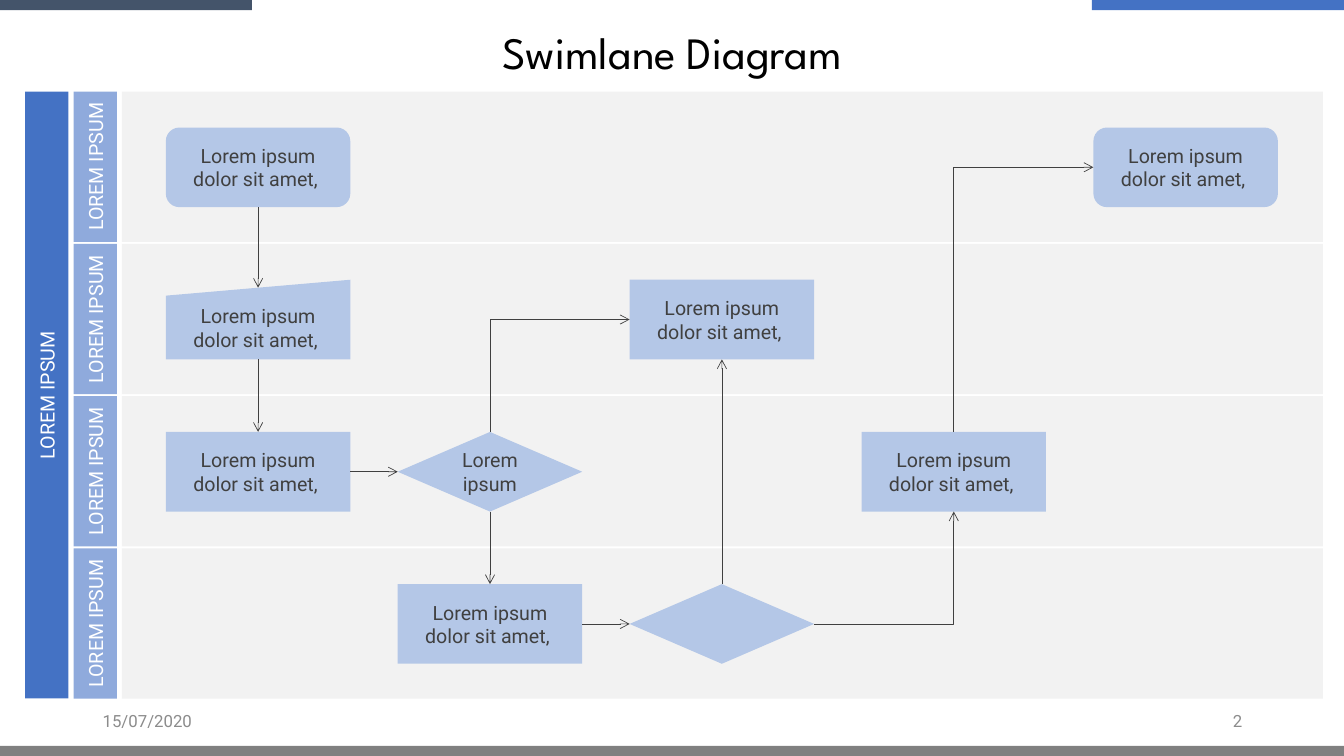
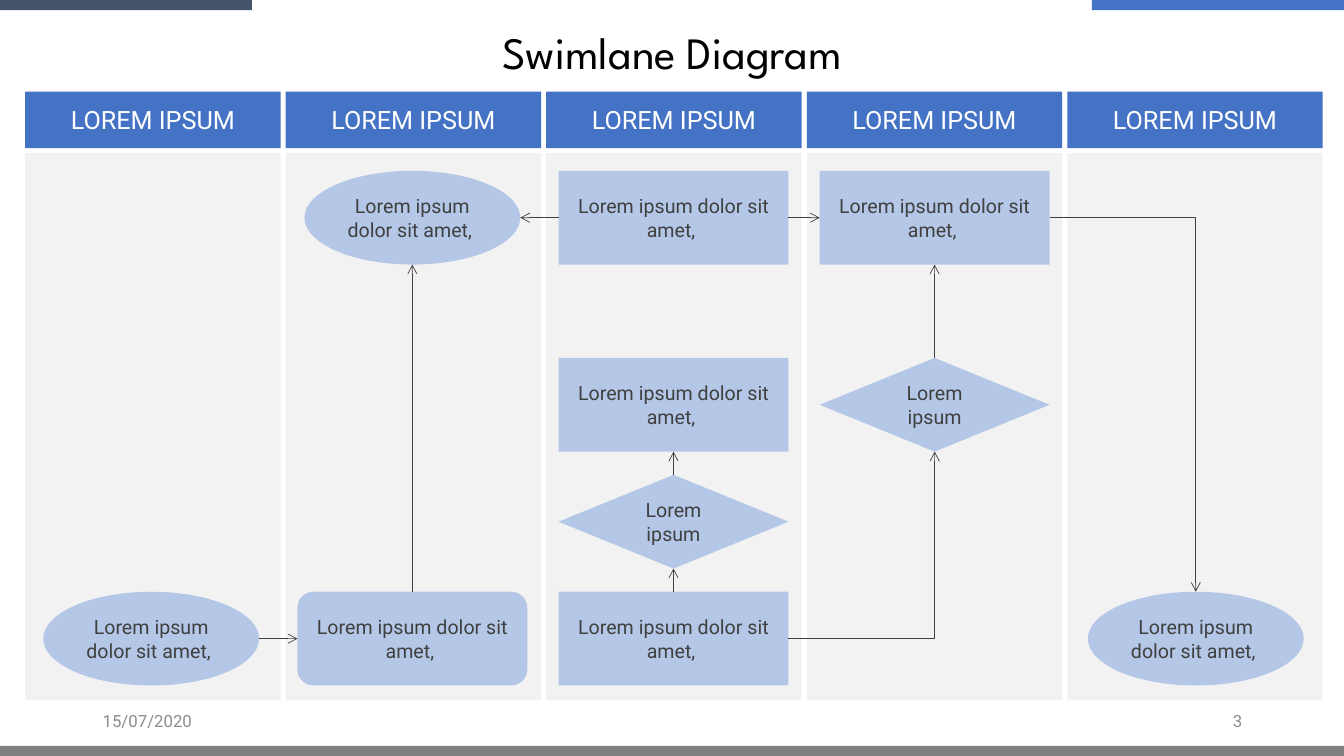
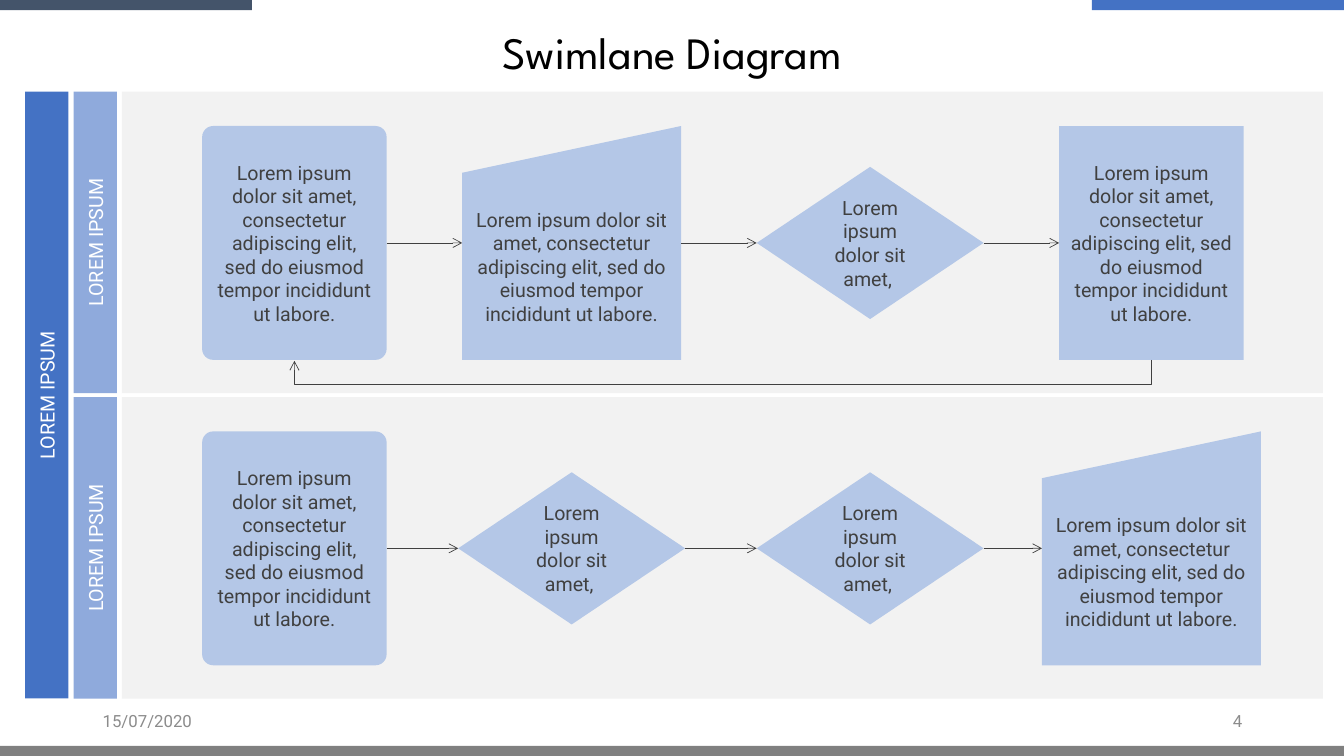
"""Build three swimlane diagram slides."""
from dataclasses import dataclass
from itertools import accumulate

from lxml.etree import SubElement as Sub
from pptx import Presentation
from pptx.dml.color import RGBColor
from pptx.enum.shapes import MSO_CONNECTOR as Con, MSO_SHAPE as Kind
from pptx.enum.text import MSO_ANCHOR as Anchor, MSO_AUTO_SIZE as Auto, PP_ALIGN as Align
from pptx.oxml.ns import qn
from pptx.util import Inches, Pt

W, H = 13.33, 7.5
BLUE, SOFT, PALE = "4472C4", "8FAADC", "B4C7E7"
NAVY, GREY, LANE = "44546A", "808080", "F2F2F2"
WHITE, INK, MUTE, BLACK = "FFFFFF", "404040", "8C8C8C", "000000"
BODY, HEAD = "Roboto", "League Spartan"

LEFT, TOP, RIGHT = 0.25, 0.91, 13.12
TALL, GAP, TAB = 6.02, 0.05, 0.43
NORTH, WEST, SOUTH, EAST = range(4)

BOX, ROUND, OVAL = Kind.RECTANGLE, Kind.ROUNDED_RECTANGLE, Kind.OVAL
INPUT, CHECK = Kind.FLOWCHART_MANUAL_INPUT, Kind.FLOWCHART_DECISION

LABEL = "LOREM IPSUM"
TWO = "Lorem ipsum"
FIVE = "Lorem ipsum dolor sit amet, "
LONG = FIVE + "consectetur adipiscing elit, sed do eiusmod tempor incididunt ut labore."


@dataclass
class Grid:
    """Centres of columns and rows, and node sizes by kind."""
    cols: list[float]
    rows: list[float]
    sizes: dict
    curve: float = 0.17


@dataclass
class Node:
    """One step of the flow, placed by column and row."""
    kind: Kind
    col: int
    row: int
    text: str = FIVE


@dataclass
class Link:
    """An arrow from a side of one node to a side of another."""
    start: int
    out: int
    end: int
    into: int


def tint(code: str) -> RGBColor:
    """Turn a hex string into a colour."""
    return RGBColor.from_string(code)


def write(frame, text: str, size: float, code: str, align=Align.CENTER, font: str = BODY) -> None:
    """Set and format the text of a frame."""
    frame.text = text
    frame.word_wrap = True
    frame.vertical_anchor = Anchor.MIDDLE
    para = frame.paragraphs[0]
    para.alignment = align
    for run in para.runs:
        run.font.size = Pt(size)
        run.font.name = font
        run.font.color.rgb = tint(code)


def block(slide, kind, x: float, y: float, w: float, h: float, code: str):
    """Add a flat shape without an outline."""
    shape = slide.shapes.add_shape(kind, Inches(x), Inches(y), Inches(w), Inches(h))
    shape.shadow.inherit = False
    shape.fill.solid()
    shape.fill.fore_color.rgb = tint(code)
    shape.line.fill.background()
    return shape


def note(slide, x: float, text: str, align) -> None:
    """Add a footer text."""
    box = slide.shapes.add_textbox(Inches(x), Inches(6.95), Inches(3), Inches(0.4))
    write(box.text_frame, text, 12, MUTE, align)


def start(deck, page: int):
    """Add a slide with its title, bands and footer."""
    slide = deck.slides.add_slide(deck.slide_layouts[5])
    title = slide.shapes.title
    title.left, title.top = Inches(0.92), Inches(0.27)
    title.width, title.height = Inches(11.5), Inches(0.56)
    frame = title.text_frame
    write(frame, "Swimlane Diagram", 32, BLACK, font=HEAD)
    frame.paragraphs[0].line_spacing = 0.9
    frame.margin_left = frame.margin_right = Inches(0.04)
    frame.margin_top = frame.margin_bottom = Inches(0.04)
    frame.auto_size = Auto.SHAPE_TO_FIT_TEXT
    wide = W * 3 / 16
    block(slide, BOX, W - wide, 0, wide, 0.1, BLUE)
    block(slide, BOX, 0, 0, wide, 0.1, NAVY)
    block(slide, BOX, 0, H - 0.1, W, 0.1, GREY)
    note(slide, 0.92, "15/07/2020", Align.LEFT)
    note(slide, 9.42, str(page), Align.RIGHT)
    return slide


def tab(slide, x: float, y: float, h: float, code: str) -> None:
    """Add an upright lane label."""
    shape = block(slide, BOX, x, y, TAB, h, code)
    write(shape.text_frame, LABEL, 14, WHITE)
    shape.element.txBody.bodyPr.set("vert", "vert270")


def across(slide, count: int, gap: float) -> None:
    """Draw lanes that run from left to right."""
    tab(slide, LEFT, TOP, TALL, BLUE)
    high = (TALL - gap * (count - 1)) / count
    side = LEFT + TAB + GAP
    lane = side + TAB + GAP
    for row in range(count):
        y = TOP + row * (high + gap)
        tab(slide, side, y, high, SOFT)
        block(slide, BOX, lane, y, RIGHT - lane, high, LANE)


def down(slide, count: int) -> None:
    """Draw lanes that run from top to bottom."""
    wide = (RIGHT - LEFT - GAP * (count - 1)) / count
    for col in range(count):
        x = LEFT + col * (wide + GAP)
        cap = block(slide, BOX, x, TOP, wide, 0.56, BLUE)
        write(cap.text_frame, LABEL, 18, WHITE)
        block(slide, BOX, x, 1.52, wide, 5.43, LANE)


def dot(node: Node, grid: Grid, side: int) -> tuple[float, float]:
    """Find the point where an arrow meets a node."""
    w, h = grid.sizes[node.kind]
    x, y = grid.cols[node.col], grid.rows[node.row]
    rise = 0.4 if node.kind == INPUT else 0.5
    return {NORTH: (x, y - h * rise), WEST: (x - w / 2, y),
            SOUTH: (x, y + h / 2), EAST: (x + w / 2, y)}[side]


def joins(node: Node, side: int) -> bool:
    """Tell whether a side's middle is a matching joint."""
    if node.kind == OVAL:
        return side == NORTH
    return node.kind != INPUT or side != NORTH


def arrow(slide, grid: Grid, nodes: list[Node], shapes: list, link: Link) -> None:
    """Draw a straight, bent or looped arrow."""
    ends = [(link.start, link.out), (link.end, link.into)]
    loop = link.out == link.into
    bent = link.out % 2 != link.into % 2
    back = bent and link.out in (NORTH, SOUTH)
    if back:
        ends.reverse()
    (one, out), (two, into) = ends
    a, b = dot(nodes[one], grid, out), dot(nodes[two], grid, into)
    kind = Con.ELBOW if bent or loop else Con.STRAIGHT
    line = slide.shapes.add_connector(kind, *(Inches(v) for v in a + b))
    if joins(nodes[one], out):
        line.begin_connect(shapes[one], out)
    if joins(nodes[two], into):
        line.end_connect(shapes[two], into)
    props = line.element.spPr
    geom = props.find(qn("a:prstGeom"))
    if bent:
        geom.set("prst", "bentConnector2")
    if loop:
        thin, span = 0.01, a[0] - b[0]
        line.left = Inches((a[0] + b[0] - thin) / 2)
        line.top = Inches(a[1] + (thin - span) / 2)
        line.width, line.height = Inches(thin), Inches(span)
        form = props.find(qn("a:xfrm"))
        for flip in ("flipH", "flipV"):
            form.attrib.pop(flip, None)
        form.set("rot", "5400000")
        Sub(geom.find(qn("a:avLst")), qn("a:gd"), name="adj1", fmla="val 2450000")
    line.line.color.rgb = tint(INK)
    line.line.width = Pt(0.5)
    Sub(props.find(qn("a:ln")), qn("a:headEnd" if back else "a:tailEnd"), type="arrow")
    Sub(props, qn("a:effectLst"))


def flow(slide, grid: Grid, nodes: list[Node], links: list[Link]) -> None:
    """Draw the nodes and then the arrows between them."""
    shapes = []
    for node in nodes:
        w, h = grid.sizes[node.kind]
        x, y = grid.cols[node.col] - w / 2, grid.rows[node.row] - h / 2
        shape = block(slide, node.kind, x, y, w, h, PALE)
        if node.kind == ROUND:
            shape.adjustments[0] = grid.curve
        if node.text:
            write(shape.text_frame, node.text, 14, INK)
        shapes.append(shape)
    for link in links:
        arrow(slide, grid, nodes, shapes, link)


def first(deck) -> None:
    """Build the diagram with four rows."""
    slide = start(deck, 2)
    across(slide, 4, 0.02)
    grid = Grid([2.56 + 2.3 * i for i in range(5)], [1.66 + 1.51 * i for i in range(4)],
                dict.fromkeys((BOX, ROUND, INPUT, CHECK), (1.83, 0.79)))
    nodes = [Node(ROUND, 0, 0), Node(INPUT, 0, 1), Node(BOX, 0, 2),
             Node(CHECK, 1, 2, TWO), Node(BOX, 1, 3), Node(BOX, 2, 1),
             Node(CHECK, 2, 3, ""), Node(BOX, 3, 2), Node(ROUND, 4, 0)]
    links = [Link(0, SOUTH, 1, NORTH), Link(1, SOUTH, 2, NORTH), Link(2, EAST, 3, WEST),
             Link(3, SOUTH, 4, NORTH), Link(3, NORTH, 5, WEST), Link(4, EAST, 6, WEST),
             Link(6, EAST, 7, SOUTH), Link(6, NORTH, 5, SOUTH), Link(7, NORTH, 8, WEST)]
    flow(slide, grid, nodes, links)


def second(deck) -> None:
    """Build the diagram with five columns."""
    slide = start(deck, 3)
    down(slide, 5)
    sizes = dict.fromkeys((BOX, ROUND, CHECK), (2.28, 0.93)) | {OVAL: (2.14, 0.93)}
    grid = Grid([6.68 + 2.59 * i for i in range(-2, 3)],
                [2.16 + 1.16 * i for i in (0, 1.6, 2.6, 3.6)], sizes)
    nodes = [Node(OVAL, 0, 3), Node(ROUND, 1, 3), Node(BOX, 2, 3),
             Node(CHECK, 2, 2, TWO), Node(BOX, 2, 1), Node(CHECK, 3, 1, TWO),
             Node(BOX, 2, 0), Node(OVAL, 1, 0), Node(BOX, 3, 0), Node(OVAL, 4, 3)]
    links = [Link(0, EAST, 1, WEST), Link(1, NORTH, 7, SOUTH), Link(6, WEST, 7, EAST),
             Link(6, EAST, 8, WEST), Link(2, NORTH, 3, SOUTH), Link(3, NORTH, 4, SOUTH),
             Link(2, EAST, 5, SOUTH), Link(5, NORTH, 8, SOUTH), Link(8, EAST, 9, NORTH)]
    flow(slide, grid, nodes, links)


def third(deck) -> None:
    """Build the diagram with two rows."""
    slide = start(deck, 4)
    across(slide, 2, 0.04)
    sizes = {ROUND: (1.83, 2.32), INPUT: (2.17, 2.32), CHECK: (2.25, 1.51), BOX: (1.83, 2.32)}
    wides = [sizes[kind][0] for kind in (ROUND, INPUT, CHECK, BOX)]
    steps = [(a + b) / 2 + 0.75 for a, b in zip(wides, wides[1:])]
    grid = Grid(list(accumulate(steps, initial=2.92)), [2.41, 5.44], sizes, 0.06)
    nodes = [Node(ROUND, 0, 0, LONG), Node(INPUT, 1, 0, LONG), Node(CHECK, 2, 0),
             Node(BOX, 3, 0, LONG), Node(ROUND, 0, 1, LONG), Node(CHECK, 1, 1),
             Node(CHECK, 2, 1), Node(INPUT, 3, 1, LONG)]
    links = [Link(i, EAST, i + 1, WEST) for i in (0, 1, 2, 4, 5, 6)]
    flow(slide, grid, nodes, links + [Link(3, SOUTH, 0, SOUTH)])


def main() -> None:
    """Build and save the deck."""
    deck = Presentation()
    deck.slide_width, deck.slide_height = Inches(W), Inches(H)
    for build in (first, second, third):
        build(deck)
    deck.save("out.pptx")


if __name__ == "__main__":
    main()
